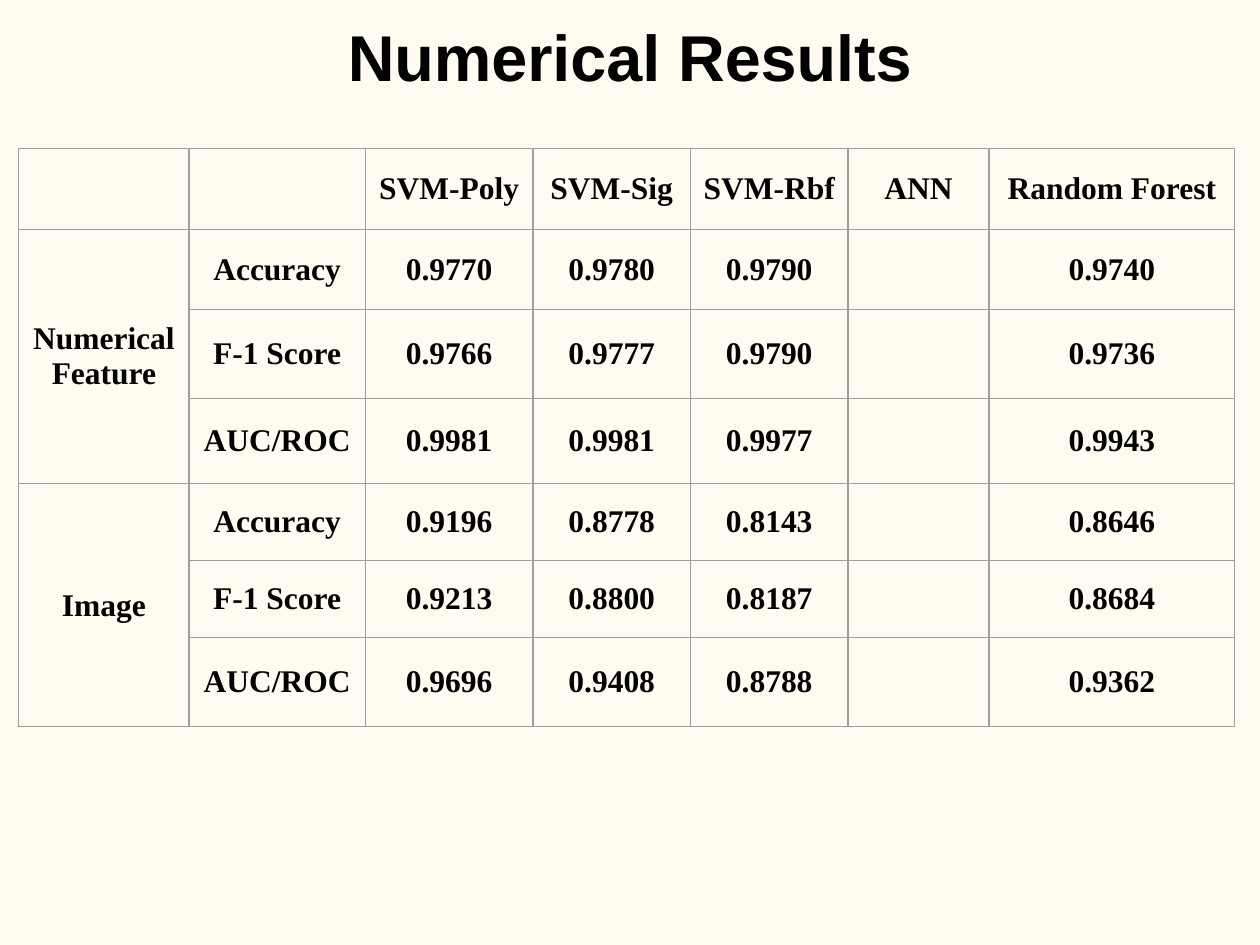
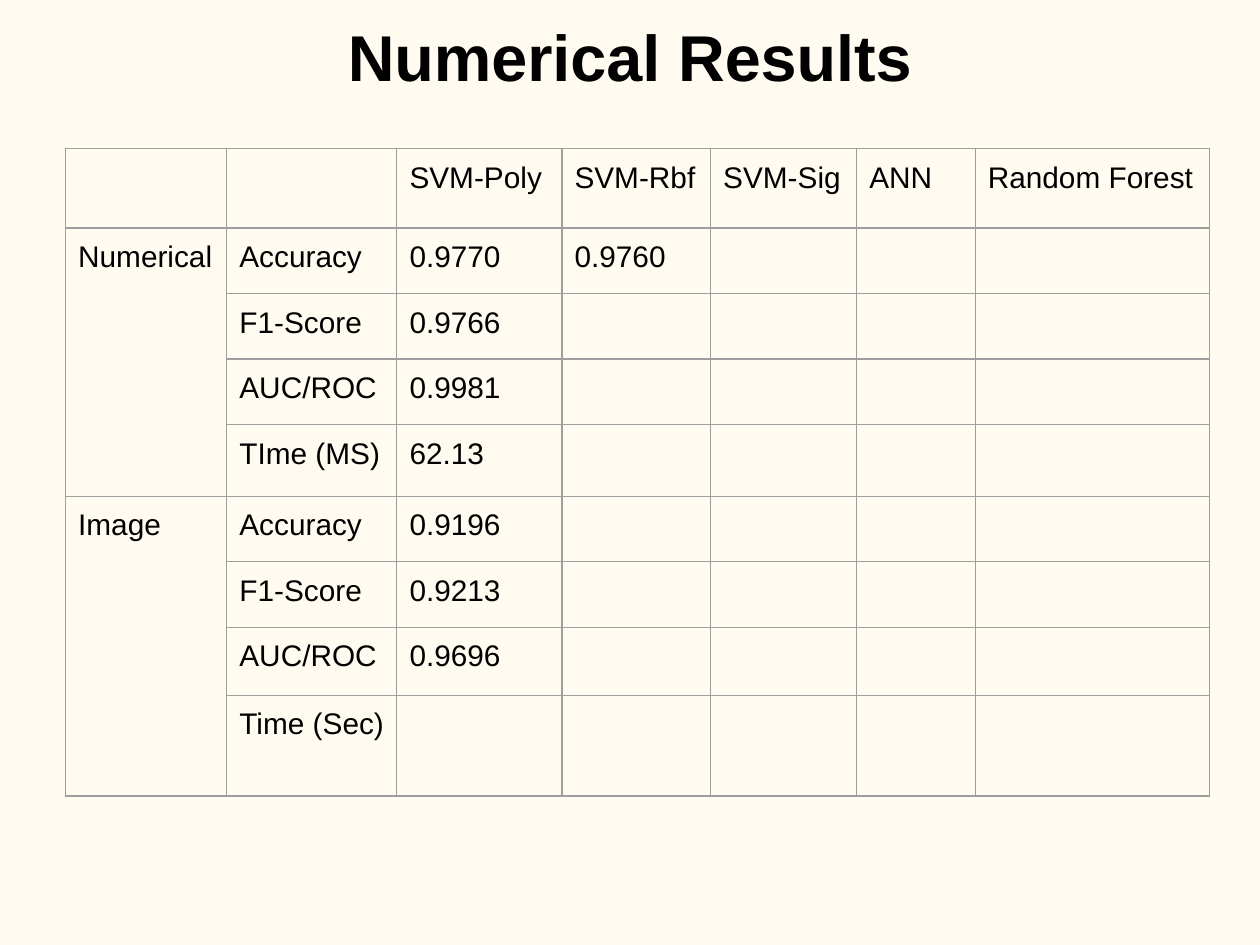
from dataclasses import dataclass

from lxml.etree import SubElement
from pptx import Presentation
from pptx.dml.color import RGBColor
from pptx.enum.text import MSO_ANCHOR, PP_ALIGN
from pptx.oxml.ns import qn
from pptx.presentation import Presentation as Deck
from pptx.slide import Slide
from pptx.table import _Cell as Cell
from pptx.text.text import TextFrame
from pptx.util import Inches, Pt


@dataclass(frozen=True)
class TextStyle:
    font: str
    size: int
    bold: bool
    alignment: PP_ALIGN
    anchor: MSO_ANCHOR


@dataclass(frozen=True)
class Theme:
    background: RGBColor = RGBColor(0xFF, 0xFB, 0xF0)
    text: RGBColor = RGBColor(0, 0, 0)
    border: RGBColor = RGBColor(0x9E, 0x9E, 0x9E)
    border_width: float = 0.75
    cell_margin: float = 0.1
    title_margin: float = 0.12
    title: TextStyle = TextStyle("Arial", 37, True, PP_ALIGN.CENTER, MSO_ANCHOR.MIDDLE)
    bold_table: TextStyle = TextStyle("Times New Roman", 18, True, PP_ALIGN.CENTER, MSO_ANCHOR.MIDDLE)
    plain_table: TextStyle = TextStyle("Arial", 17, False, PP_ALIGN.LEFT, MSO_ANCHOR.TOP)


@dataclass(frozen=True)
class Group:
    """A feature type whose name spans one row per metric."""
    name: str
    metrics: list[tuple[str, ...]]


@dataclass(frozen=True)
class ResultsTable:
    left: float
    column_widths: list[float]
    row_heights: list[float]
    models: list[str]
    groups: list[Group]
    style: TextStyle


THEME = Theme()
SLIDE_WIDTH, SLIDE_HEIGHT = 10, 7.5
TITLE_HEIGHT = 0.89
TABLE_TOP = 1.18
TITLE_ONLY_LAYOUT = 5
LABEL_COLUMNS = 2

RESULTS = [
    ResultsTable(
        left=0.15,
        column_widths=[1.35, 1.4, 1.33, 1.25, 1.25, 1.12, 1.95],
        row_heights=[0.64, 0.64, 0.7, 0.68, 0.61, 0.61, 0.71],
        models=["SVM-Poly", "SVM-Sig", "SVM-Rbf", "ANN", "Random Forest"],
        groups=[
            Group("Numerical Feature", [
                ("Accuracy", "0.9770", "0.9780", "0.9790", "", "0.9740"),
                ("F-1 Score", "0.9766", "0.9777", "0.9790", "", "0.9736"),
                ("AUC/ROC", "0.9981", "0.9981", "0.9977", "", "0.9943"),
            ]),
            Group("Image", [
                ("Accuracy", "0.9196", "0.8778", "0.8143", "", "0.8646"),
                ("F-1 Score", "0.9213", "0.8800", "0.8187", "", "0.8684"),
                ("AUC/ROC", "0.9696", "0.9408", "0.8788", "", "0.9362"),
            ]),
        ],
        style=THEME.bold_table,
    ),
    ResultsTable(
        left=0.52,
        column_widths=[1.28, 1.35, 1.31, 1.18, 1.16, 0.94, 1.86],
        row_heights=[0.63, 0.52, 0.52, 0.52, 0.57, 0.52, 0.52, 0.54, 0.8],
        models=["SVM-Poly", "SVM-Rbf", "SVM-Sig", "ANN", "Random Forest"],
        groups=[
            Group("Numerical", [
                ("Accuracy", "0.9770", "0.9760"),
                ("F1-Score", "0.9766"),
                ("AUC/ROC", "0.9981"),
                ("TIme (MS)", "62.13"),
            ]),
            Group("Image", [
                ("Accuracy", "0.9196"),
                ("F1-Score", "0.9213"),
                ("AUC/ROC", "0.9696"),
                ("Time (Sec)",),
            ]),
        ],
        style=THEME.plain_table,
    ),
]


def style_text(frame: TextFrame, style: TextStyle) -> None:
    for paragraph in frame.paragraphs:
        paragraph.alignment = style.alignment
        paragraph.font.name = style.font
        paragraph.font.size = Pt(style.size)
        paragraph.font.bold = style.bold
        paragraph.font.color.rgb = THEME.text


def set_margins(target: TextFrame | Cell, margin: float) -> None:
    target.margin_left = target.margin_right = Inches(margin)
    target.margin_top = target.margin_bottom = Inches(margin)


def add_borders(cell: Cell) -> None:
    properties = cell._tc.get_or_add_tcPr()
    for side in ("a:lnL", "a:lnR", "a:lnT", "a:lnB"):
        line = SubElement(properties, qn(side), w=str(Pt(THEME.border_width)))
        fill = SubElement(line, qn("a:solidFill"))
        SubElement(fill, qn("a:srgbClr"), val=str(THEME.border))


def format_cell(cell: Cell, style: TextStyle) -> None:
    add_borders(cell)
    cell.fill.background()
    cell.vertical_anchor = style.anchor
    set_margins(cell, THEME.cell_margin)
    style_text(cell.text_frame, style)


def add_title(slide: Slide, text: str) -> None:
    title = slide.shapes.title
    title.left = title.top = Inches(0)
    title.width, title.height = Inches(SLIDE_WIDTH), Inches(TITLE_HEIGHT)
    frame = title.text_frame
    frame.text = text
    frame.word_wrap = True
    frame.vertical_anchor = THEME.title.anchor
    set_margins(frame, THEME.title_margin)
    style_text(frame, THEME.title)


def add_results_table(slide: Slide, results: ResultsTable) -> None:
    table = slide.shapes.add_table(
        len(results.row_heights), len(results.column_widths),
        Inches(results.left), Inches(TABLE_TOP),
        Inches(sum(results.column_widths)), Inches(sum(results.row_heights)),
    ).table
    table.first_row = table.horz_banding = False
    for column, width in zip(table.columns, results.column_widths):
        column.width = Inches(width)
    for row, height in zip(table.rows, results.row_heights):
        row.height = Inches(height)

    for column_index, model in enumerate(results.models, LABEL_COLUMNS):
        table.cell(0, column_index).text = model
    row_index = 1
    for group in results.groups:
        name_cell = table.cell(row_index, 0)
        name_cell.merge(table.cell(row_index + len(group.metrics) - 1, 0))
        name_cell.text = group.name
        for values in group.metrics:
            for column_index, value in enumerate(values, 1):
                table.cell(row_index, column_index).text = value
            row_index += 1

    for cell in table.iter_cells():
        format_cell(cell, results.style)


def build_presentation() -> Deck:
    presentation = Presentation()
    presentation.slide_width = Inches(SLIDE_WIDTH)
    presentation.slide_height = Inches(SLIDE_HEIGHT)
    background = presentation.slide_master.background.fill
    background.solid()
    background.fore_color.rgb = THEME.background
    for results in RESULTS:
        slide = presentation.slides.add_slide(presentation.slide_layouts[TITLE_ONLY_LAYOUT])
        add_title(slide, "Numerical Results")
        add_results_table(slide, results)
    return presentation


if __name__ == "__main__":
    build_presentation().save("out.pptx")
